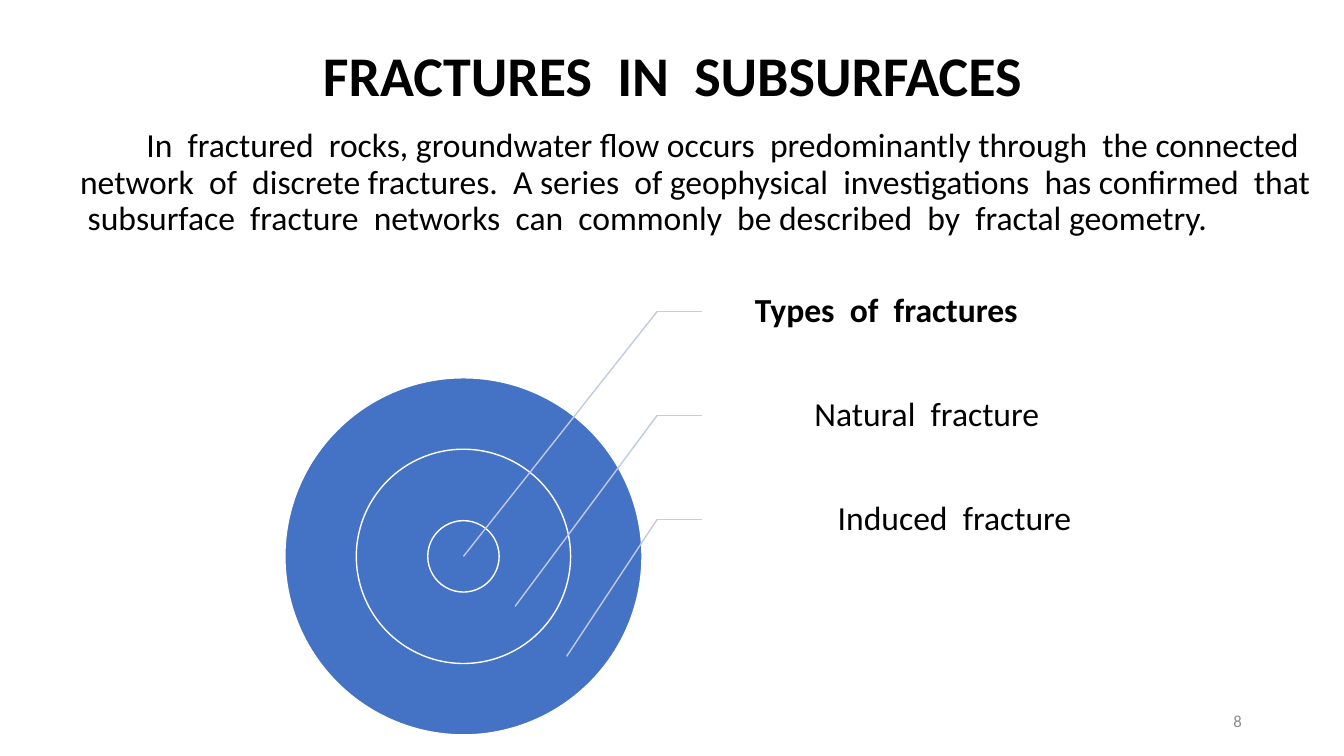
from dataclasses import dataclass

from lxml.etree import SubElement
from pptx import Presentation
from pptx.dml.color import RGBColor
from pptx.enum.shapes import MSO_CONNECTOR, MSO_SHAPE
from pptx.enum.text import MSO_ANCHOR, PP_ALIGN
from pptx.oxml.ns import qn
from pptx.util import Cm, Pt


@dataclass(frozen=True)
class Theme:
    font: str = "Calibri"
    ink: RGBColor = RGBColor(0, 0, 0)
    muted: RGBColor = RGBColor(0x8C, 0x8C, 0x8C)
    disc: RGBColor = RGBColor(0x44, 0x72, 0xC4)
    ring: RGBColor = RGBColor(0xFF, 0xFF, 0xFF)
    leader: RGBColor = RGBColor(0xC1, 0xC9, 0xE4)
    title: Pt = Pt(40)
    body: Pt = Pt(24)
    small: Pt = Pt(12)
    line: Pt = Pt(1)


T = Theme()

TITLE = "FRACTURES  IN  SUBSURFACES"
INTRO = (
    "In  fractured  rocks, groundwater flow occurs  predominantly through  the connected  "
    "network  of  discrete fractures.  A series  of geophysical  investigations  has confirmed  "
    "that  subsurface  fracture  networks  can  commonly  be described  by  fractal geometry."
)
# Label text, left edge and width in cm, bold
LABELS = [
    ("Types  of  fractures", 14.15, 11.58, True),
    ("Natural  fracture", 13.41, 12.86, False),
    ("Induced  fracture", 12.83, 14.25, False),
]


def add_text(s, box, text, size, color=T.ink, bold=False,
             align=PP_ALIGN.LEFT, anchor=MSO_ANCHOR.MIDDLE, spacing=0.9):
    """Place one paragraph in box (left, top, width, height in cm)."""
    tf = s.shapes.add_textbox(*map(Cm, box)).text_frame
    tf.word_wrap = True
    tf.vertical_anchor = anchor
    p = tf.paragraphs[0]
    p.text = text
    p.alignment = align
    p.line_spacing = spacing
    p.font.name, p.font.size, p.font.bold = T.font, size, bold
    p.font.color.rgb = color
    return tf


def add_line(s, x1, y1, x2, y2):
    c = s.shapes.add_connector(MSO_CONNECTOR.STRAIGHT, Cm(x1), Cm(y1), Cm(x2), Cm(y2))
    c.line.color.rgb = T.leader
    c.line.width = T.line
    SubElement(c._element.spPr, qn("a:effectLst"))


def add_intro(s, box):
    tf = add_text(s, box, INTRO, T.body, anchor=MSO_ANCHOR.TOP)
    p = tf.paragraphs[0]
    p.space_before = Pt(10)
    # Hanging body margin with an indented first line
    pPr = p._p.get_or_add_pPr()
    pPr.set("marL", str(Cm(0.63)))
    pPr.set("indent", str(Cm(1.67)))


def add_target(s, box):
    """Concentric discs with one labelled leader line each."""
    left, top, size = box
    cx, cy, unit = left + size / 2, top + size / 2, size / 5

    # Discs, largest first
    for d in (5 * unit, 3 * unit, unit):
        sp = s.shapes.add_shape(MSO_SHAPE.OVAL, Cm(cx - d / 2), Cm(cy - d / 2), Cm(d), Cm(d))
        sp.shadow.inherit = False
        sp.fill.solid()
        sp.fill.fore_color.rgb = T.disc
        sp.line.color.rgb = T.ring
        sp.line.width = T.line

    # Labels and leader lines
    row = 2.62
    elbow = left + size + 0.38
    for i, (text, x, width, bold) in enumerate(LABELS):
        y = top - 1.67 + i * row
        tf = add_text(s, (x, y - row / 2, width, row), text, T.body,
                      bold=bold, align=PP_ALIGN.RIGHT)
        tf.margin_left = Cm(0.48)
        tf.margin_top = tf.margin_right = tf.margin_bottom = Cm(0.08)
        add_line(s, elbow, y, elbow + 1.14, y)
        add_line(s, elbow, y, cx + i * 1.3, cy + i * 1.26)


def build_fractures_slide(prs):
    s = prs.slides.add_slide(prs.slide_layouts[6])
    add_text(s, (23.93, 17.65, 7.62, 1.02), "8", T.small, T.muted,
             align=PP_ALIGN.RIGHT, spacing=1.0)
    add_intro(s, (1.14, 3.12, 32.21, 14.05))
    add_text(s, (2.34, 1.02, 29.21, 1.9), TITLE, T.title, bold=True, align=PP_ALIGN.CENTER)
    add_target(s, (7.18, 9.52, 9))


def main():
    prs = Presentation()
    prs.slide_width, prs.slide_height = Cm(33.87), Cm(19.05)
    build_fractures_slide(prs)
    prs.save("out.pptx")


if __name__ == "__main__":
    main()
